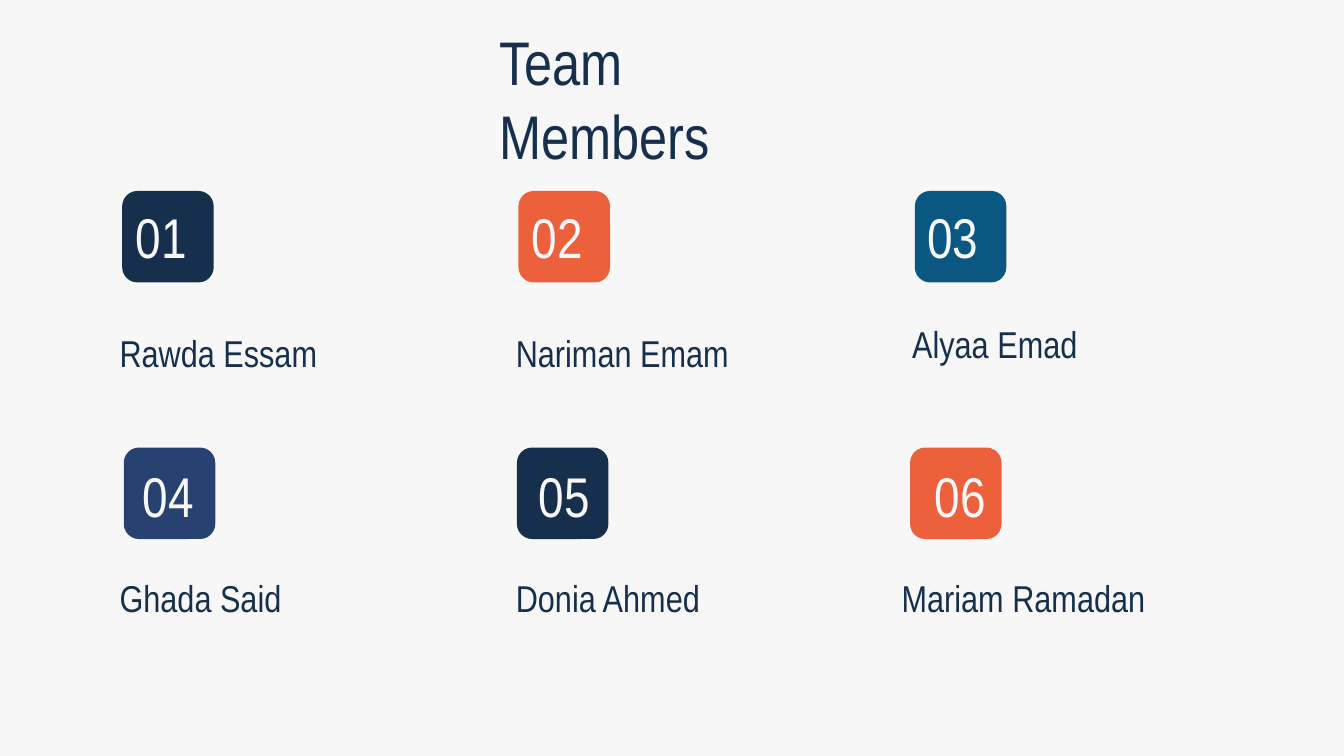
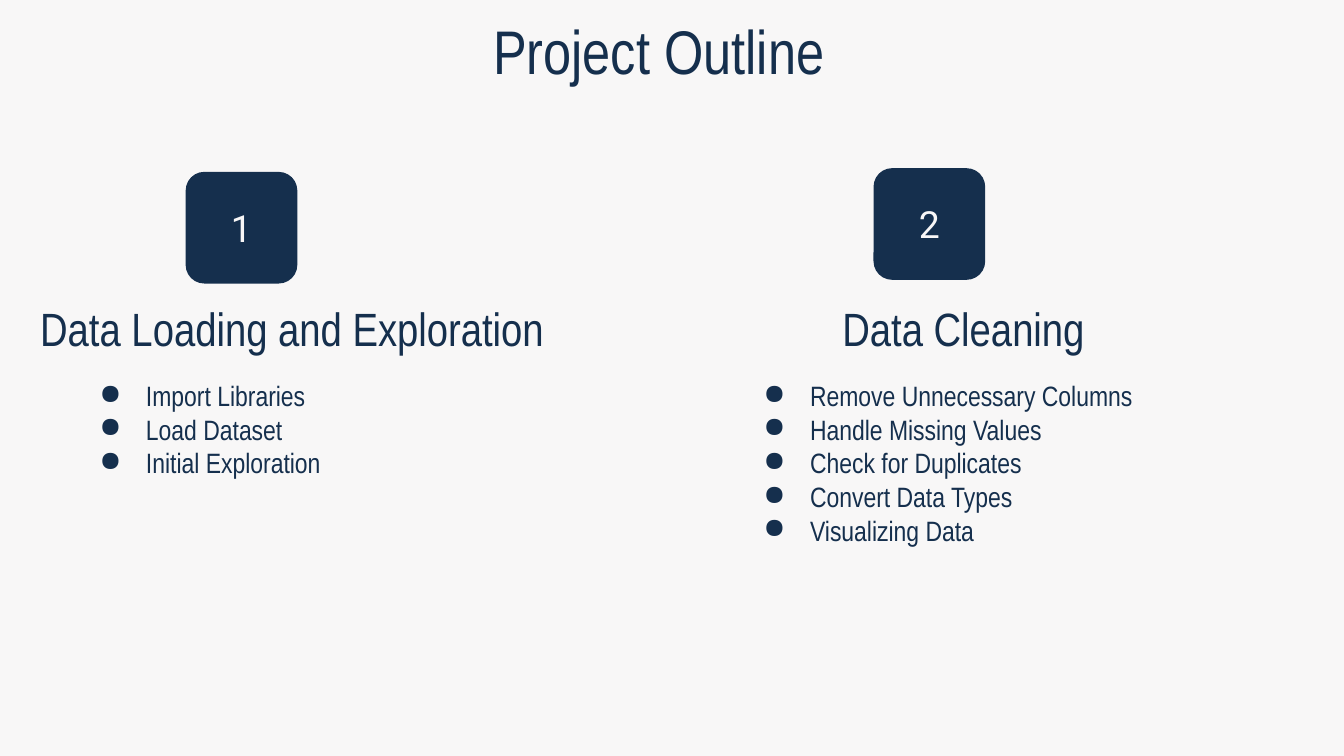
import pptx
import pptx.dml.color
import pptx.enum.shapes
import pptx.enum.text
import pptx.util
from lxml import etree
from pptx.oxml.ns import qn

Cm = pptx.util.Cm
Pt = pptx.util.Pt
Align = pptx.enum.text.PP_ALIGN
Anchor = pptx.enum.text.MSO_ANCHOR

NAVY, ORANGE, TEAL, INDIGO, PAPER = "152F4D", "EC603C", "0A5781", "274270", "F8F7F7"
TITLE_SIZE = 33


def paint(fill, color):
    fill.solid()
    fill.fore_color.rgb = pptx.dml.color.RGBColor.from_string(color)


def write(holder, text, size, color=NAVY, font="Arial Narrow",
          align=Align.LEFT, anchor=Anchor.TOP, bullet=None):
    """Fill a shape with text, one paragraph per line."""
    frame = holder.text_frame
    frame.text = text
    frame.word_wrap = True
    frame.auto_size = pptx.enum.text.MSO_AUTO_SIZE.NONE
    frame.vertical_anchor = anchor
    frame.margin_left = frame.margin_right = Cm(0.25)
    frame.margin_top = frame.margin_bottom = Cm(0.25)
    for paragraph in frame.paragraphs:
        paragraph.alignment = align
        for run in paragraph.runs:
            run.font.size = Pt(size)
            run.font.name = font
            paint(run.font.fill, color)
        if bullet:
            props = paragraph._p.get_or_add_pPr()
            props.set("marL", str(Cm(1.27)))
            props.set("indent", str(Cm(-0.88)))
            bullet_color = etree.SubElement(props, qn("a:buClr"))
            etree.SubElement(bullet_color, qn("a:srgbClr"), val=color)
            etree.SubElement(props, qn("a:buChar"), char=bullet)


deck = pptx.Presentation()
deck.slide_width, deck.slide_height = Cm(25.4), Cm(14.29)
paint(deck.slide_master.background.fill, PAPER)
title_only = deck.slide_layouts[5]

slides = []
for heading, left, top, width in [
    ("Team Members", 9.19, 0.2, 7.01),
    ("Project Outline", 9.07, 0, 7.29),
]:
    slide = deck.slides.add_slide(title_only)
    title = slide.shapes.title
    title.left, title.top, title.width, title.height = Cm(left), Cm(top), Cm(width), Cm(1.6)
    write(title, heading, TITLE_SIZE)
    slides.append(slide)
team, outline = slides

# Badges on both slides: slide, left, top, side, colour
badges = []
for column, (upper, lower) in enumerate([(NAVY, INDIGO), (ORANGE, NAVY), (TEAL, ORANGE)]):
    badges.append((team, 2.31 + 7.49 * column, 3.61, 1.73, upper))
    badges.append((team, 2.34 + 7.43 * column, 8.46, 1.73, lower))
badges += [(outline, 3.51, 3.25, 2.11, NAVY), (outline, 16.51, 3.18, 2.11, NAVY)]

step_badges = []
for slide, left, top, side, color in badges:
    badge = slide.shapes.add_shape(
        pptx.enum.shapes.MSO_SHAPE.ROUNDED_RECTANGLE, Cm(left), Cm(top), Cm(side), Cm(side))
    badge.shadow.inherit = False
    badge.line.fill.background()
    paint(badge.fill, color)
    if slide is outline:
        step_badges.append(badge)

# Team members: name, left, top
members = [
    ("Rawda Essam", 2.01, 5.99),
    ("Nariman Emam", 9.5, 5.99),
    ("Alyaa Emad", 16.99, 5.82),
    ("Ghada Said", 2.01, 10.62),
    ("Donia Ahmed", 9.5, 10.62),
    ("Mariam Ramadan", 16.79, 10.62),
]
number_rows = [(4.11, Align.JUSTIFY, Anchor.BOTTOM), (8.74, Align.CENTER, Anchor.MIDDLE)]
for index, (member, left, top) in enumerate(members):
    row, column = divmod(index, 3)
    number_top, align, anchor = number_rows[row]
    number = team.shapes.add_textbox(
        Cm(2.32 + 7.48 * column), Cm(number_top), Cm(1.73), Cm(1.24))
    write(number, f"{index + 1:02}", 30, color=PAPER, align=align, anchor=anchor)
    name = team.shapes.add_textbox(Cm(left), Cm(top), Cm(6.4), Cm(1.24))
    write(name, member, 20)

# Outline steps: heading, its left and width, tasks, their left, width and height
steps = [
    ("Data Loading and Exploration", 0.51, 11,
     ["Import Libraries", "Load Dataset", "Initial Exploration"], 1.24, 8.33, 2.54),
    ("Data Cleaning", 15.67, 6.1,
     ["Remove Unnecessary Columns", "Handle Missing Values", "Check for Duplicates",
      "Convert Data Types", "Visualizing Data"], 13.79, 9.86, 3.76),
]
for number, (badge, step) in enumerate(zip(step_badges, steps), start=1):
    heading, heading_left, heading_width, tasks, left, width, height = step
    write(badge, str(number), 20, color=PAPER, font="Roboto",
          align=Align.CENTER, anchor=Anchor.MIDDLE)
    step_heading = outline.shapes.add_textbox(
        Cm(heading_left), Cm(5.41), Cm(heading_width), Cm(1.24))
    write(step_heading, heading, 25)
    task_list = outline.shapes.add_textbox(Cm(left), Cm(6.91), Cm(width), Cm(height))
    write(task_list, "\n".join(tasks), 15, bullet="●")

deck.save("out.pptx")
